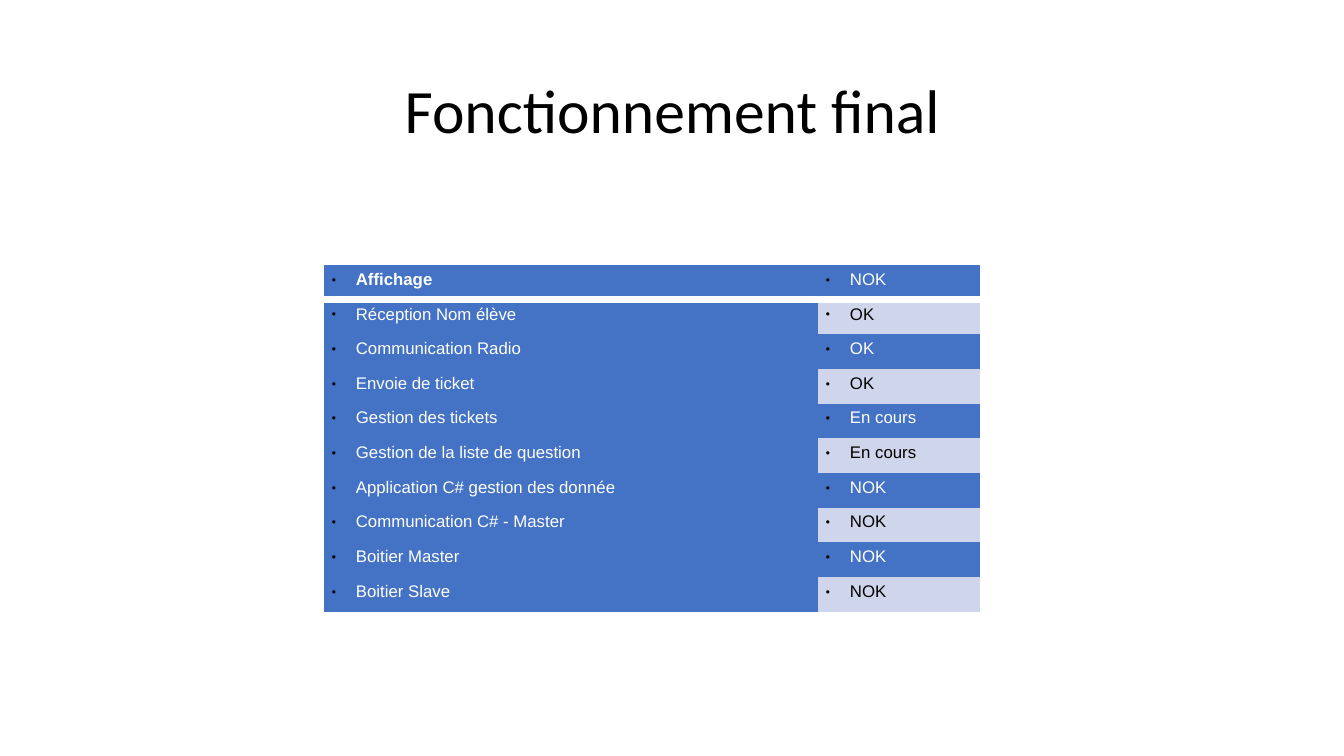
from lxml import etree
from pptx import Presentation
from pptx import util as u
from pptx.dml.color import RGBColor
from pptx.enum import text
from pptx.oxml import ns, parse_xml

BLUE, PALE, WHITE, BLACK = "4472C4", "CFD5EA", "FFFFFF", "000000"
NO_GRID = "{2D5ABB26-0587-4C30-8999-92F81FD0307C}"


def paint(fill, colour):
    fill.solid()
    fill.fore_color.rgb = RGBColor.from_string(colour)


def add_xml(parent, position, body):
    root = parse_xml(f'<a:x {ns.nsdecls("a")}>{body}</a:x>')
    for offset, child in enumerate(list(root)):
        parent.insert(position + offset, child)


tasks = [
    ("Affichage", "NOK"),
    ("Réception Nom élève", "OK"),
    ("Communication Radio", "OK"),
    ("Envoie de ticket", "OK"),
    ("Gestion des tickets", "En cours"),
    ("Gestion de la liste de question", "En cours"),
    ("Application C# gestion des donnée", "NOK"),
    ("Communication C# - Master", "NOK"),
    ("Boitier Master", "NOK"),
    ("Boitier Slave", "NOK"),
]
column_widths = [u.Inches(4.9), u.Inches(1.61)]
row_height = u.Inches(3.44) // len(tasks)

deck = Presentation()
deck.slide_width, deck.slide_height = u.Inches(13.33), u.Inches(7.5)
slide = deck.slides.add_slide(deck.slide_layouts[5])

title = slide.shapes.title
title.left, title.top = u.Inches(0.92), u.Inches(0.4)
title.width, title.height = u.Inches(11.5), u.Inches(1.45)
title.text_frame.text = "Fonctionnement final"
title.text_frame.vertical_anchor = text.MSO_ANCHOR.MIDDLE
heading = title.text_frame.paragraphs[0]
heading.alignment = text.PP_ALIGN.CENTER
heading.line_spacing = 0.9
heading.runs[0].font.size = u.Pt(44)
heading.runs[0].font.name = "Calibri"
paint(heading.runs[0].font.fill, BLACK)

progress = slide.shapes.add_table(
    len(tasks), 2, u.Inches(3.21), u.Inches(2.63),
    sum(column_widths), row_height * len(tasks)).table
progress.first_row = progress.horz_banding = False
progress._tbl.tblPr.find(ns.qn("a:tableStyleId")).text = NO_GRID
for column, width in zip(progress.columns, column_widths):
    column.width = width

for row, task in enumerate(tasks):
    progress.rows[row].height = row_height
    for column, wording in enumerate(task):
        pale = column == 1 and row % 2 == 1
        cell = progress.cell(row, column)
        cell.margin_left = cell.margin_right = u.Inches(0.08)
        cell.margin_top = cell.margin_bottom = u.Inches(0.05)
        paint(cell.fill, PALE if pale else BLUE)
        if row == 0:
            add_xml(cell._tc.tcPr, 0,
                    f'<a:lnB w="{u.Pt(6)}"><a:solidFill><a:srgbClr val="{WHITE}"/>'
                    '</a:solidFill></a:lnB>')

        cell.text_frame.text = wording
        entry = cell.text_frame.paragraphs[0]
        entry.alignment = text.PP_ALIGN.JUSTIFY
        entry_format = entry._p.get_or_add_pPr()
        entry_format.set("marL", str(u.Inches(0.24)))
        entry_format.set("indent", str(-u.Inches(0.24)))
        add_xml(entry_format, 0,
                f'<a:buClr><a:srgbClr val="{BLACK}"/></a:buClr><a:buSzPct val="45000"/>'
                '<a:buFont typeface="Arial"/><a:buChar char="●"/>')
        font = entry.runs[0].font
        font.name, font.size = "Arial", u.Pt(12)
        font.bold = row == 0 and column == 0
        paint(font.fill, BLACK if pale else WHITE)

deck.save("out.pptx")
